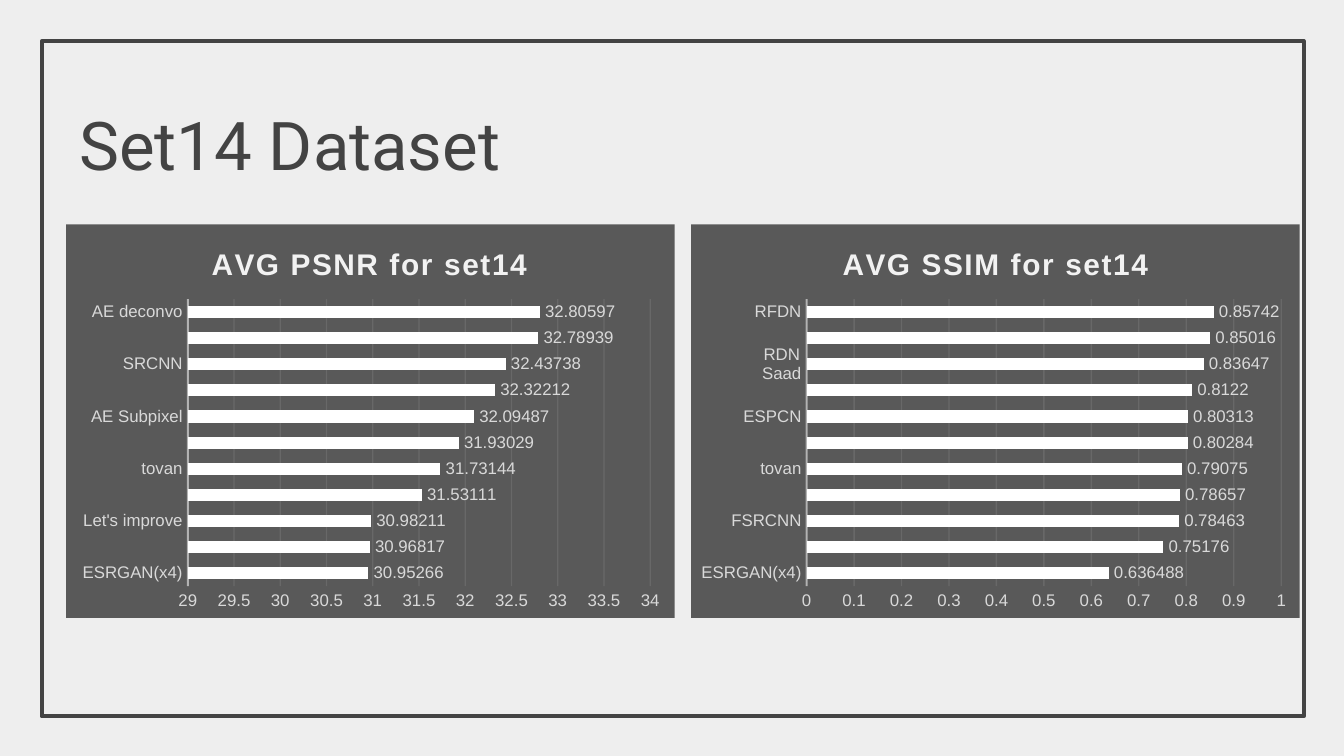
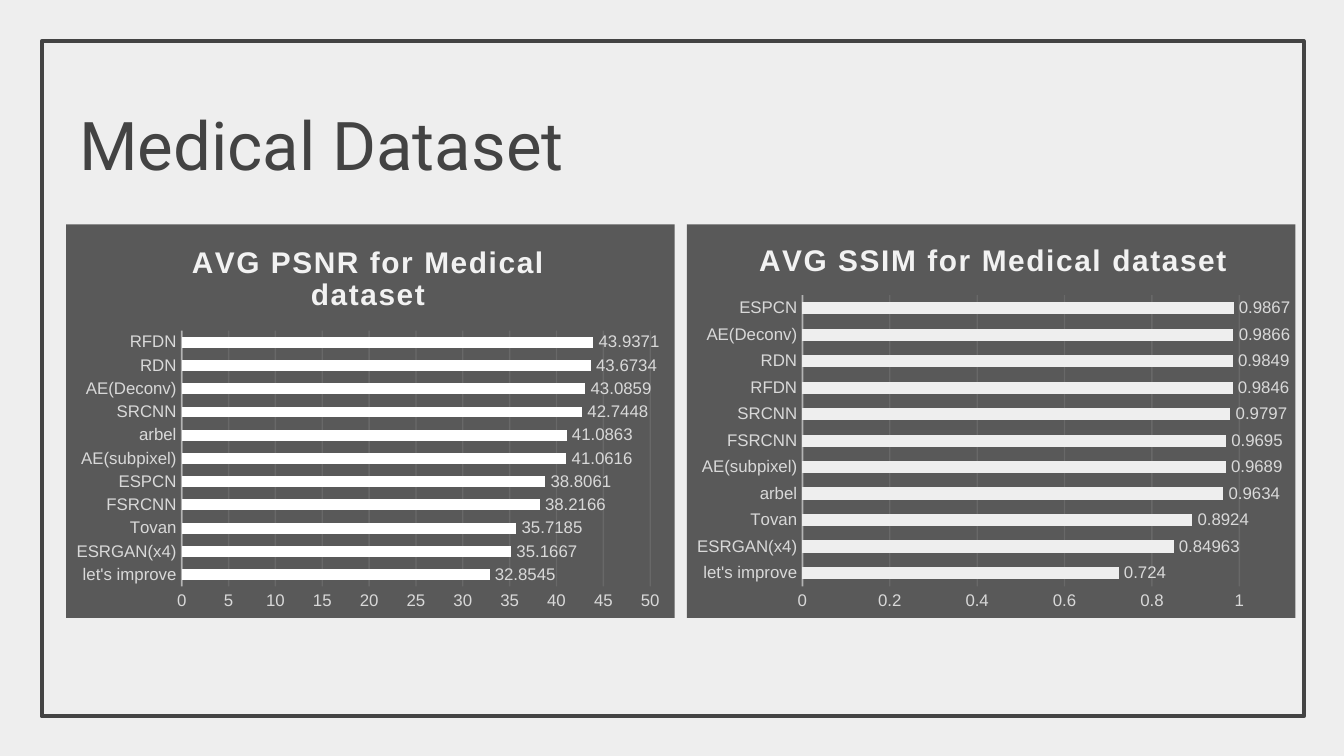
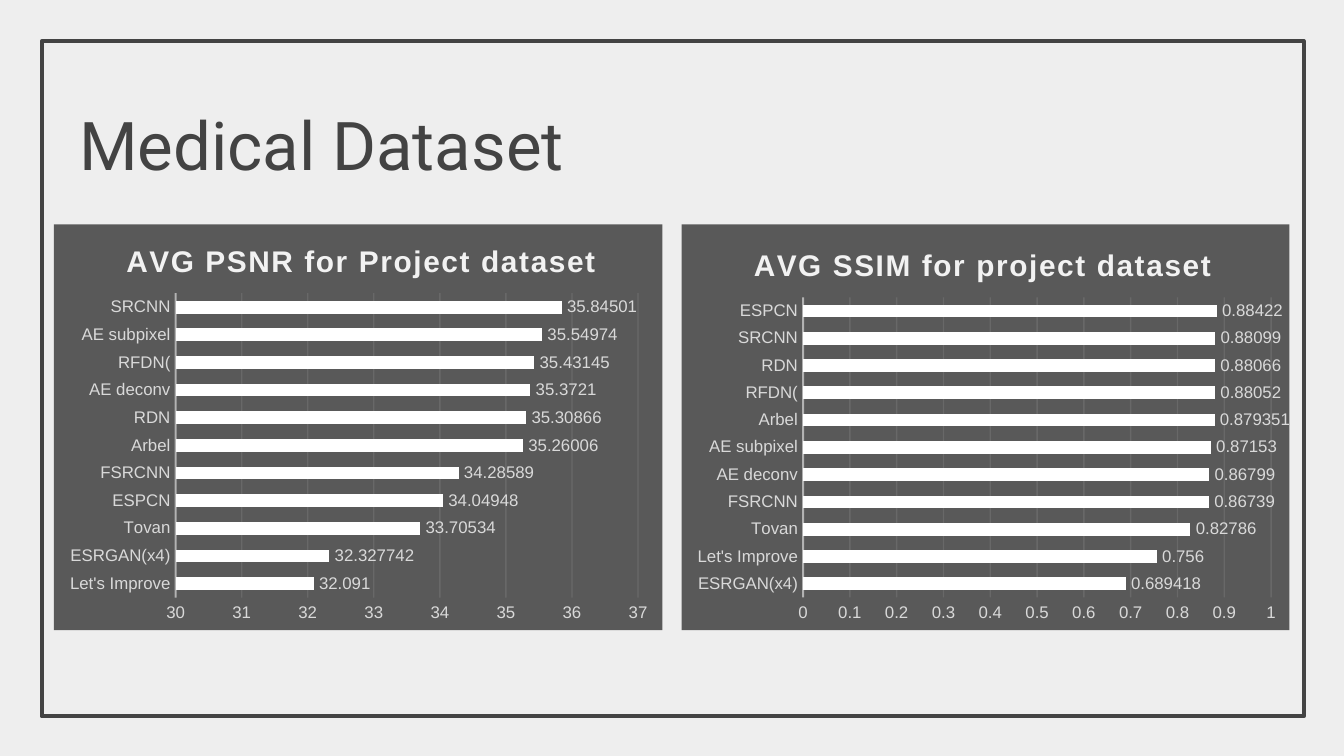
from lxml.etree import SubElement
from pptx import Presentation
from pptx.chart.data import CategoryChartData as ChartData
from pptx.dml.color import RGBColor
from pptx.enum.chart import XL_CHART_TYPE as ChartType
from pptx.enum.chart import XL_LABEL_POSITION as LabelPosition
from pptx.enum.chart import XL_TICK_MARK as TickMark
from pptx.enum.shapes import MSO_SHAPE as Shape
from pptx.enum.text import MSO_ANCHOR as Anchor
from pptx.oxml import parse_xml
from pptx.oxml.ns import nsdecls, qn
from pptx.util import Cm, Pt

# Shared look
PAPER, INK, PANEL = "EEEEEE", "434343", "595959"
WHITE, PALE, LABEL = "FFFFFF", "F2F2F2", "D9D9D9"
TITLE_FONT, CHART_FONT = "Roboto", "Arial"
CHART_TOP, CHART_WIDTH = 4.24, 11.5


def paint(color_format, color, alpha=None):
    """Set a colour from a hex string, with optional opacity in percent."""
    color_format.rgb = RGBColor.from_string(color)
    if alpha:
        node = color_format._xFill.find(qn("a:srgbClr"))
        SubElement(node, qn("a:alpha")).set("val", str(alpha * 1000))


def place(holder, index, **fractions):
    """Give a chart part a manual layout in fractions of the chart."""
    old = holder.find(qn("c:layout"))
    if old is not None:
        holder.remove(old)
    layout = parse_xml(f"<c:layout {nsdecls('c')}><c:manualLayout/></c:layout>")
    manual = layout[0]
    if "w" in fractions:
        SubElement(manual, qn("c:layoutTarget")).set("val", "inner")
    for mode in ("xMode", "yMode"):
        SubElement(manual, qn(f"c:{mode}")).set("val", "edge")
    for name, value in fractions.items():
        SubElement(manual, qn(f"c:{name}")).set("val", str(value))
    holder.insert(index, layout)


# Each chart: title, title corner, left edge, plot box, axis (min, max, step),
# bar colour, values from the bottom bar to the top one
slides = [
    ("Set14 Dataset", 7.44, [
        ("AVG PSNR for set14", (0.23, 0.04), 1.25,
         (0.2, 0.19, 0.76, 0.73), (29, 34, 0.5), WHITE,
         {"ESRGAN(x4)": 30.95266, "ESPCN": 30.96817, "Let's improve": 30.98211,
          "FSRCNN": 31.53111, "tovan": 31.73144, "arbel": 31.93029,
          "AE Subpixel": 32.09487, "RDN": 32.32212, "SRCNN": 32.43738,
          "RFDN\n": 32.78939, "AE deconvo": 32.80597}),
        ("AVG SSIM for set14", (0.24, 0.04), 13.06,
         (0.19, 0.19, 0.78, 0.73), (0, 1, 0.1), WHITE,
         {"ESRGAN(x4)": 0.636488, "Let's improve": 0.75176, "FSRCNN": 0.78463,
          "Subpixel\nAmr": 0.78657, "tovan": 0.79075, "SRCNN": 0.80284,
          "ESPCN": 0.80313, "arbel": 0.8122, "RDN\nSaad": 0.83647,
          "AE deconvo": 0.85016, "RFDN": 0.85742}),
    ]),
    ("Medical Dataset", 7.44, [
        ("AVG PSNR for Medical\ndataset", (0.2, 0.04), 1.25,
         (0.19, 0.27, 0.77, 0.65), (0, 50, 5), WHITE,
         {"let's improve": 32.8545, "ESRGAN(x4)": 35.1667, "Tovan": 35.7185,
          "FSRCNN": 38.2166, "ESPCN": 38.8061, "AE(subpixel)": 41.0616,
          "arbel": 41.0863, "SRCNN": 42.7448, "AE(Deconv)": 43.0859,
          "RDN": 43.6734, "RFDN": 43.9371}),
        ("AVG SSIM for Medical dataset", (0.11, 0.03), 12.98,
         (0.19, 0.18, 0.79, 0.74), (0, 1.1, 0.2), PAPER,
         {"let's improve": 0.724, "ESRGAN(x4)": 0.84963, "Tovan": 0.8924,
          "arbel": 0.9634, "AE(subpixel)": 0.9689, "FSRCNN": 0.9695,
          "SRCNN": 0.9797, "RFDN": 0.9846, "RDN": 0.9849,
          "AE(Deconv)": 0.9866, "ESPCN": 0.9867}),
    ]),
    ("Medical Dataset", 7.67, [
        ("AVG PSNR for Project dataset", (0.11, 0.03), 1.02,
         (0.2, 0.17, 0.76, 0.75), (30, 37, 1), WHITE,
         {"Let's Improve": 32.091, "ESRGAN(x4)": 32.327742, "Tovan": 33.70534,
          "ESPCN": 34.04948, "FSRCNN": 34.28589, "Arbel": 35.26006,
          "RDN": 35.30866, "AE deconv": 35.3721, "RFDN(": 35.43145,
          "AE subpixel": 35.54974, "SRCNN": 35.84501}),
        ("AVG SSIM for project dataset", (0.11, 0.04), 12.88,
         (0.2, 0.18, 0.77, 0.74), (0, 1, 0.1), WHITE,
         {"ESRGAN(x4)": 0.689418, "Let's Improve": 0.756, "Tovan": 0.82786,
          "FSRCNN": 0.86739, "AE deconv": 0.86799, "AE subpixel": 0.87153,
          "Arbel": 0.879351, "RFDN(": 0.88052, "RDN": 0.88066,
          "SRCNN": 0.88099, "ESPCN": 0.88422}),
    ]),
]

presentation = Presentation()
presentation.slide_width, presentation.slide_height = Cm(25.4), Cm(14.29)

for heading, chart_height, charts in slides:
    slide = presentation.slides.add_slide(presentation.slide_layouts[6])
    slide.background.fill.solid()
    paint(slide.background.fill.fore_color, PAPER)

    # Frame
    frame = slide.shapes.add_shape(
        Shape.RECTANGLE, Cm(0.79), Cm(0.78), Cm(23.85), Cm(12.76))
    frame.shadow.inherit = False
    frame.fill.background()
    paint(frame.line.color, INK)
    frame.line.width = Pt(2.25)

    # Heading
    title_box = slide.shapes.add_textbox(Cm(1.25), Cm(1.68), Cm(20.09), Cm(2.06))
    text_frame = title_box.text_frame
    text_frame.word_wrap = True
    text_frame.vertical_anchor = Anchor.MIDDLE
    text_frame.margin_left = text_frame.margin_right = Cm(0.25)
    text_frame.margin_top = text_frame.margin_bottom = Cm(0.25)
    run = text_frame.paragraphs[0].add_run()
    run.text = heading
    run.font.name, run.font.size = TITLE_FONT, Pt(36)
    paint(run.font.color, INK)

    for title, corner, left, plot_box, scale, bar_color, scores in charts:
        data = ChartData()
        data.categories = list(scores)
        data.add_series("Series 1", list(scores.values()))
        chart = slide.shapes.add_chart(
            ChartType.BAR_CLUSTERED, Cm(left), Cm(CHART_TOP),
            Cm(CHART_WIDTH), Cm(chart_height), data).chart
        chart.has_legend = False
        chart.font.name, chart.font.size = CHART_FONT, Pt(10)
        paint(chart.font.color, "000000")

        # Dark panel
        chart_xml = chart._chartSpace.chart
        chart_xml.addnext(parse_xml(
            f"<c:spPr {nsdecls('c', 'a')}><a:solidFill><a:srgbClr val='{PANEL}'/>"
            "</a:solidFill><a:ln><a:noFill/></a:ln></c:spPr>"))

        # Chart title
        chart.has_title = True
        title_frame = chart.chart_title.text_frame
        for number, line in enumerate(title.split("\n")):
            paragraph = (title_frame.add_paragraph() if number
                         else title_frame.paragraphs[0])
            run = paragraph.add_run()
            run.text = line
            run.font.name, run.font.size, run.font.bold = CHART_FONT, Pt(16), True
            paint(run.font.color, PALE)
            run._r.get_or_add_rPr().set("spc", "100")
        place(chart_xml.find(qn("c:title")), 1, x=corner[0], y=corner[1])
        place(chart_xml.plotArea, 0, **dict(zip("xywh", plot_box)))

        # Bars and their values
        plot = chart.plots[0]
        plot.gap_width, plot.overlap = 115, -20
        plot.vary_by_categories = False
        bars = plot.series[0].format.fill
        bars.solid()
        paint(bars.fore_color, bar_color)
        plot.has_data_labels = True
        labels = plot.data_labels
        labels.show_value = True
        labels.position = LabelPosition.OUTSIDE_END

        # Axes
        names, values = chart.category_axis, chart.value_axis
        for axis in (names, values):
            axis.major_tick_mark = axis.minor_tick_mark = TickMark.NONE
        for part in (labels, names.tick_labels, values.tick_labels):
            part.font.name, part.font.size = CHART_FONT, Pt(9)
            paint(part.font.color, LABEL)
            part.number_format, part.number_format_is_linked = "General", False
        names.format.line.width = Pt(1)
        paint(names.format.line.color, PALE, 54)
        values.format.line.fill.background()
        values.minimum_scale, values.maximum_scale, values.major_unit = scale
        values.has_major_gridlines = True
        grid = values.major_gridlines.format.line
        grid.width = Pt(0.75)
        paint(grid.color, PALE, 10)

presentation.save("out.pptx")
